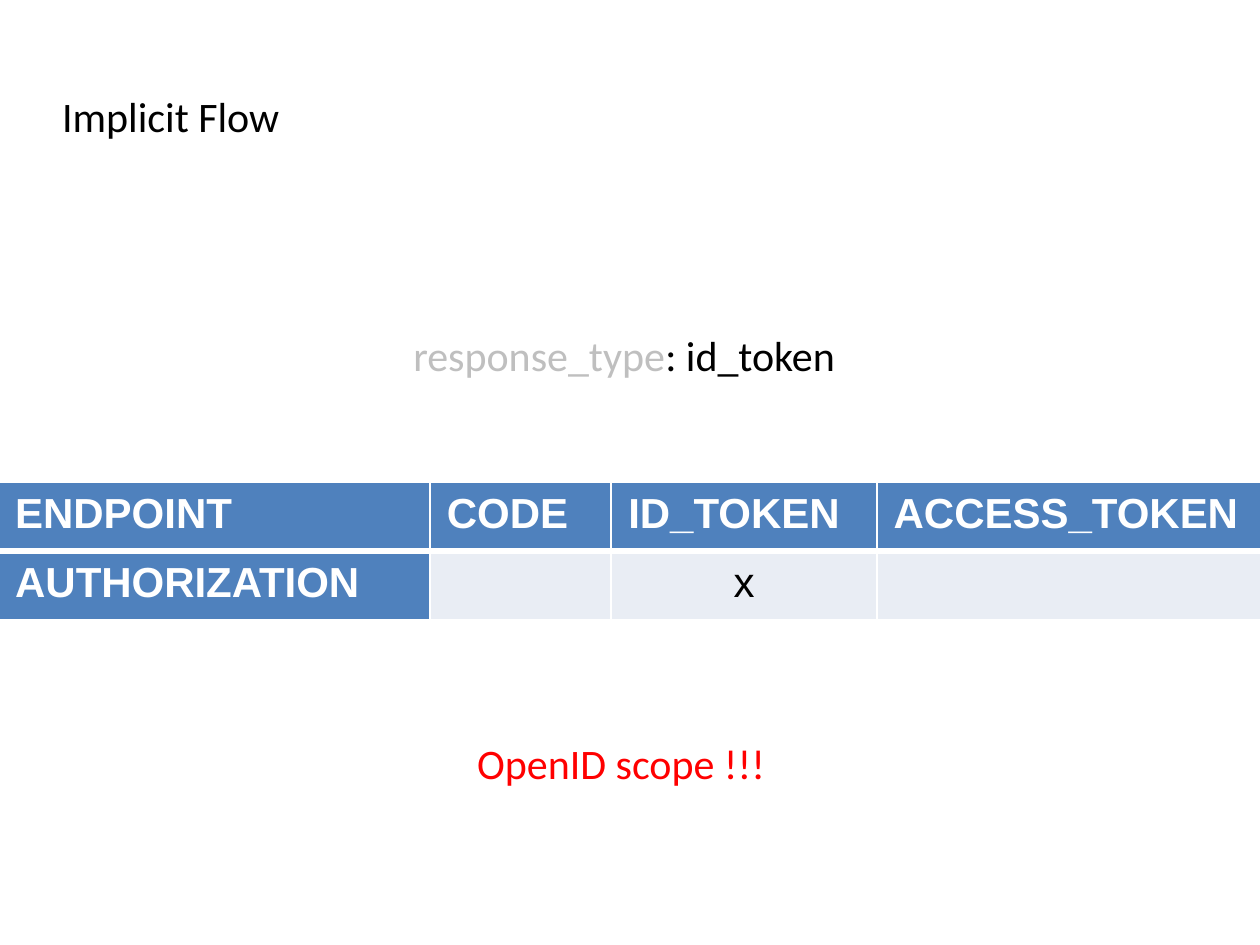
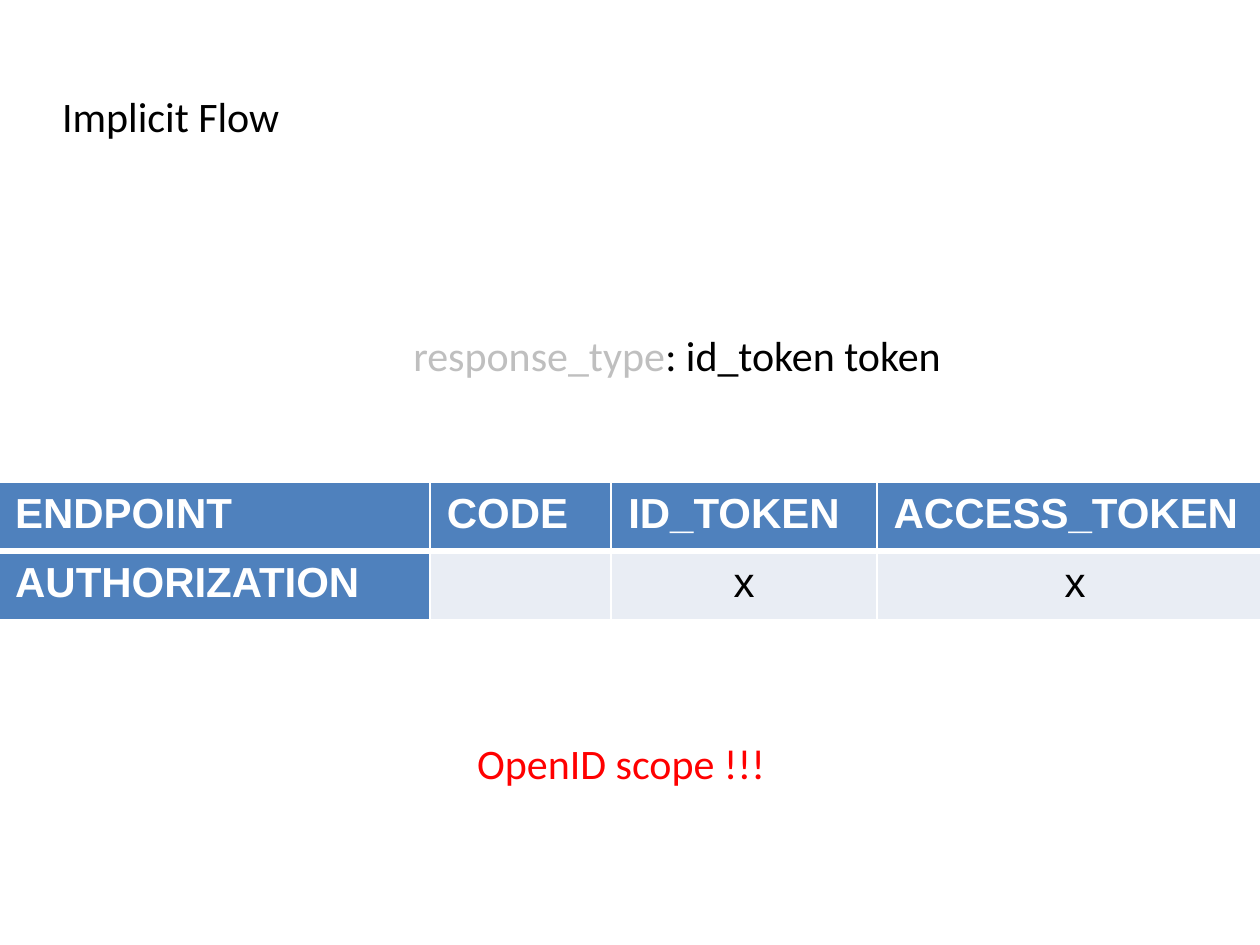
from lxml import etree
from pptx import Presentation
from pptx import util as u
from pptx.dml.color import RGBColor
from pptx.enum import text as t
from pptx.oxml import ns

BLACK = RGBColor(0, 0, 0)
WHITE = RGBColor(255, 255, 255)
GREY = RGBColor(0xBF, 0xBF, 0xBF)
RED = RGBColor(255, 0, 0)
BLUE = RGBColor(0x4F, 0x81, 0xBD)
PALE = RGBColor(0xE9, 0xED, 0xF4)

FRAME = dict(margin_left=0, margin_top=0, margin_right=0, margin_bottom=0,
             word_wrap=True, vertical_anchor=t.MSO_ANCHOR.MIDDLE)
BODY = dict(name="Calibri", size=u.Pt(18))
HEAD = dict(name="Arial", size=u.Pt(18), bold=True)
MARK = dict(HEAD, bold=False)

PAGE = 7.5
WIDE, TALL = 6.75, 0.94
COLS = [2.57, 1.08, 1.58, 2.36]
ROW = 0.41
HEADS = ["ENDPOINT", "CODE", "ID_TOKEN", "ACCESS_TOKEN"]


def style(item, form):
    for key, val in form.items():
        setattr(item, key, val)


def write(par, words, form, tint):
    run = par.add_run()
    run.text = words
    style(run.font, form)
    run.font.color.rgb = tint


def label(box, left, top, parts):
    style(box, dict(left=u.Inches(left), top=u.Inches(top),
                    width=u.Inches(WIDE), height=u.Inches(TALL)))
    style(box.text_frame, FRAME)
    par = box.text_frame.paragraphs[0]
    par.alignment = t.PP_ALIGN.LEFT
    for words, tint in parts:
        write(par, words, BODY, tint)


def note(slide, left, top, parts):
    label(slide.shapes.add_textbox(0, 0, 0, 0), left, top, parts)


def edge(cell, sizes):
    props = cell._tc.get_or_add_tcPr()
    for spot, (side, size) in enumerate(sizes.items()):
        line = etree.Element(ns.qn("a:ln" + side), w=str(u.Pt(size)))
        fill = etree.SubElement(line, ns.qn("a:solidFill"))
        etree.SubElement(fill, ns.qn("a:srgbClr"), val=str(WHITE))
        props.insert(spot, line)


def grid(slide, marks):
    rows = [HEADS, ["AUTHORIZATION"] + marks]
    table = slide.shapes.add_table(
        len(rows), len(COLS), u.Inches(-0.01), u.Inches(2.87),
        u.Inches(sum(COLS)), u.Inches(ROW * len(rows))).table
    for col, wide in zip(table.columns, COLS):
        col.width = u.Inches(wide)
    for r, row in enumerate(rows):
        table.rows[r].height = u.Inches(ROW)
        for c, words in enumerate(row):
            cell = table.cell(r, c)
            head = r == 0 or c == 0
            cell.fill.solid()
            cell.fill.fore_color.rgb = BLUE if head else PALE
            edge(cell, dict(L=1, R=1, T=3 if r else 1, B=1 if r else 3))
            par = cell.text_frame.paragraphs[0]
            style(par.font, HEAD if head else MARK)
            if not head:
                par.alignment = t.PP_ALIGN.CENTER
            if words:
                write(par, words, HEAD if head else MARK,
                      WHITE if head else BLACK)


def flow(deck, kind, marks):
    slide = deck.slides.add_slide(deck.slide_layouts[5])
    grid(slide, marks)
    label(slide.shapes.title, 0.37, 0.22, [("Implicit Flow", BLACK)])
    note(slide, 2.46, 1.64, [("response_type", GREY), (": " + kind, BLACK)])
    note(slide, 2.84, 4.07, [("OpenID scope !!!", RED)])


def main():
    deck = Presentation()
    deck.slide_width = u.Inches(PAGE)
    deck.slide_height = u.Inches(PAGE * 3 / 4)
    flow(deck, "id_token", ["", "x", ""])
    flow(deck, "id_token token", ["", "x", "x"])
    deck.save("out.pptx")


if __name__ == "__main__":
    main()
